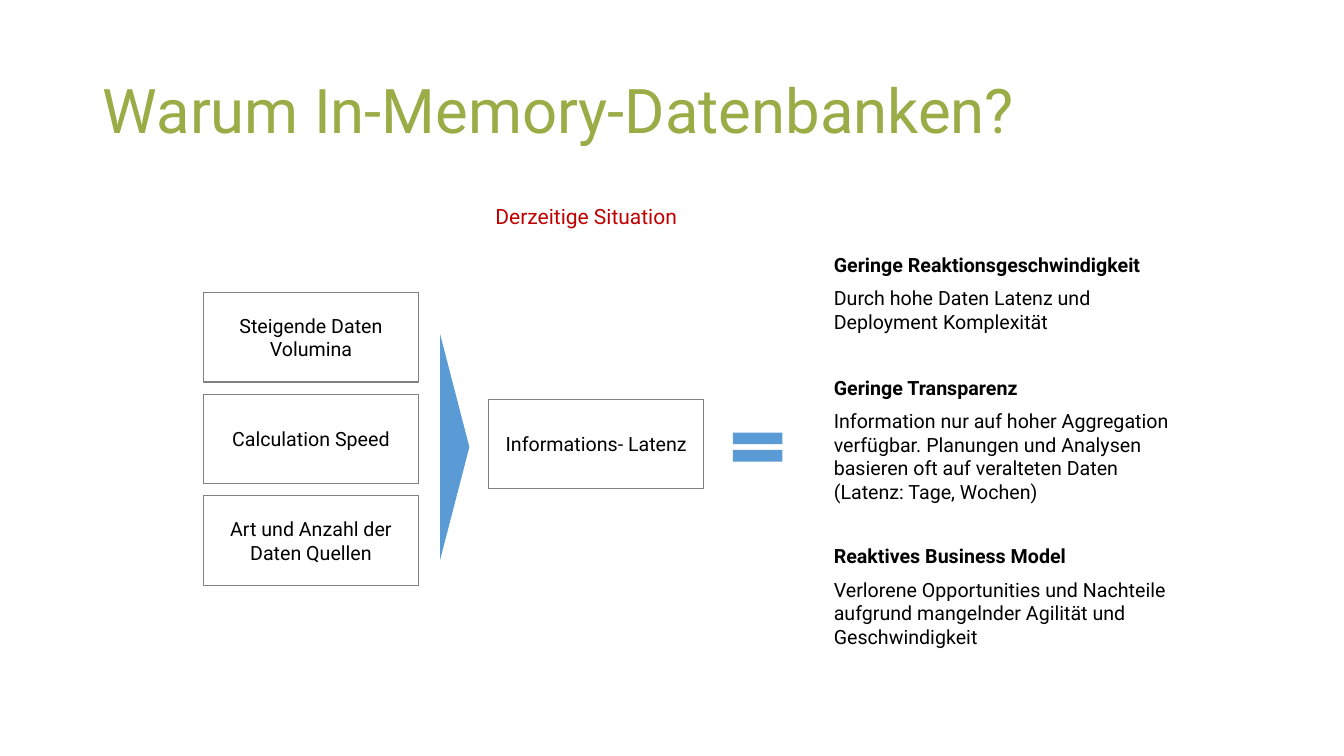
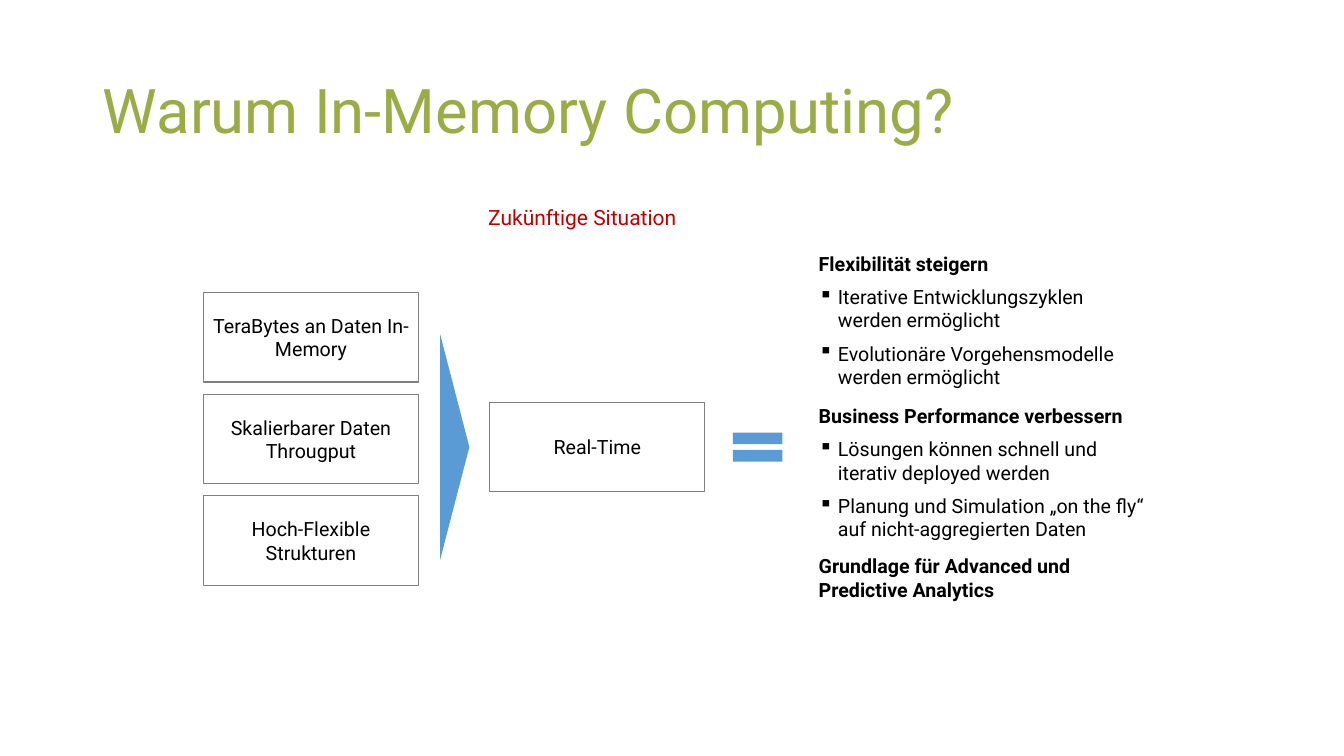
from lxml import etree
from pptx import Presentation
from pptx.dml.color import RGBColor
from pptx.enum.shapes import MSO_SHAPE
from pptx.enum.text import MSO_ANCHOR, PP_ALIGN
from pptx.oxml.ns import qn
from pptx.util import Pt

PX = 9144  # 100 px to the inch
FONT = "Roboto"
RECT, ARROW = MSO_SHAPE.RECTANGLE, MSO_SHAPE.ISOSCELES_TRIANGLE
EQUAL = MSO_SHAPE.MATH_EQUAL
LEFT, CENTER = PP_ALIGN.LEFT, PP_ALIGN.CENTER
MIDDLE = MSO_ANCHOR.MIDDLE
HEX = {"title": "9AAC46", "text": "000000", "accent": "C00000",
       "line": "808080", "box": "FFFFFF", "sign": "5B9BD5"}
COLOR = {name: RGBColor.from_string(code) for name, code in HEX.items()}

# Text styles: size, colour, bold, alignment
STYLE = {
    "title": (44, "title", False, LEFT),
    "tag": (15, "accent", False, CENTER),
    "box": (14, "text", False, CENTER),
    "head": (14, "text", True, LEFT),
    "body": (14, "text", False, LEFT),
    "item": (14, "text", False, LEFT),
}

# Content: "tag" and "core" are (place, text), "notes" are (place, paragraphs)
SLIDES = [
    {
        "title": "Warum In-Memory-Datenbanken?",
        "tag": ((470, 203, 223, 22), "Derzeitige Situation"),
        "causes": ["Steigende Daten Volumina", "Calculation Speed",
                   "Art und Anzahl der Daten Quellen"],
        "core": ((485, 396, 213, 89), "Informations- Latenz"),
        "notes": [
            ((820, 228, 363, 125), [
                ("head", "Geringe Reaktionsgeschwindigkeit"),
                ("body", "Durch hohe Daten Latenz und Deployment Komplexität")]),
            ((820, 380, 363, 112), [
                ("head", "Geringe Transparenz"),
                ("body", "Information nur auf hoher Aggregation verfügbar. "
                         "Planungen und Analysen basieren oft auf veralteten "
                         "Daten (Latenz: Tage, Wochen)")]),
            ((820, 522, 397, 139), [
                ("head", "Reaktives Business Model"),
                ("body", "Verlorene Opportunities und Nachteile aufgrund "
                         "mangelnder Agilität und Geschwindigkeit")]),
        ],
    },
    {
        "title": "Warum In-Memory Computing?",
        "tag": ((453, 204, 249, 22), "Zukünftige Situation"),
        "causes": ["TeraBytes an Daten In-Memory",
                   "Skalierbarer Daten Througput",
                   "Hoch-Flexible Strukturen"],
        "core": ((486, 399, 213, 89), "Real-Time"),
        "notes": [
            ((805, 268, 341, 99), [
                ("head", "Flexibilität steigern"),
                ("item", "Iterative Entwicklungszyklen werden ermöglicht"),
                ("item", "Evolutionäre Vorgehensmodelle werden ermöglicht")]),
            ((805, 396, 341, 145), [
                ("head", "Business Performance verbessern"),
                ("item", "Lösungen können schnell und iterativ deployed werden"),
                ("item", "Planung und Simulation „on the fly“ auf "
                         "nicht-aggregierten Daten")]),
            ((805, 503, 317, 140), [
                ("head", "Grundlage für Advanced und Predictive Analytics")]),
        ],
    },
]


def write(frame, paras):
    """Fill a text frame with (style, text) paragraphs."""
    frame.word_wrap = True
    frame.vertical_anchor = MIDDLE
    for i, (style, text) in enumerate(paras):
        para = frame.add_paragraph() if i else frame.paragraphs[0]
        para.text = text
        size, color, bold, align = STYLE[style]
        para.alignment = align
        if i:
            para.space_before = Pt(7)
        if style == "item":
            props = para._p.get_or_add_pPr()
            props.set("marL", str(19 * PX))
            props.set("indent", str(-19 * PX))
            etree.SubElement(props, qn("a:buChar")).set("char", "▪")
        font = para.font
        font.name, font.size, font.bold = FONT, Pt(size), bold
        font.color.rgb = COLOR[color]


def add(slide, place, paras=(), kind=None, fill=None, line=None):
    """Add a preset shape, or a text box if no kind is given."""
    place = [n * PX for n in place]
    if kind is None:
        shape = slide.shapes.add_textbox(*place)
    else:
        shape = slide.shapes.add_shape(kind, *place)
        shape.shadow.inherit = False
        shape.fill.solid()
        shape.fill.fore_color.rgb = COLOR[fill]
        if line:
            shape.line.color.rgb = COLOR[line]
            shape.line.width = Pt(0.75)
        else:
            shape.line.fill.background()
    if paras:
        frame = shape.text_frame
        frame.margin_left = frame.margin_right = 7 * PX
        frame.margin_top = frame.margin_bottom = 6 * PX
        write(frame, paras)
    return shape


deck = Presentation()
deck.slide_width, deck.slide_height = 1333 * PX, 750 * PX

# Shared title place
layout = deck.slide_layouts[5]
base = layout.placeholders[0]
base.left, base.top, base.width, base.height = [n * PX for n in (92, 40, 1150, 145)]

for data in SLIDES:
    slide = deck.slides.add_slide(layout)

    # Title and tag line
    title = slide.shapes.title.text_frame
    write(title, [("title", data["title"])])
    title.paragraphs[0].line_spacing = 0.9
    place, text = data["tag"]
    add(slide, place, [("tag", text)])

    # Causes on the left, core in the middle
    boxes = [((202, 290 + 101 * i, 213, 89), text)
             for i, text in enumerate(data["causes"])]
    for place, text in boxes + [data["core"]]:
        add(slide, place, [("box", text)], RECT, "box", "line")

    # Arrow and equals sign
    add(slide, (339, 429, 224, 29), kind=ARROW, fill="sign").rotation = 90
    add(slide, (718, 419, 67, 49), kind=EQUAL, fill="sign")

    # Effects on the right
    for place, paras in data["notes"]:
        add(slide, place, paras)

deck.save("out.pptx")
